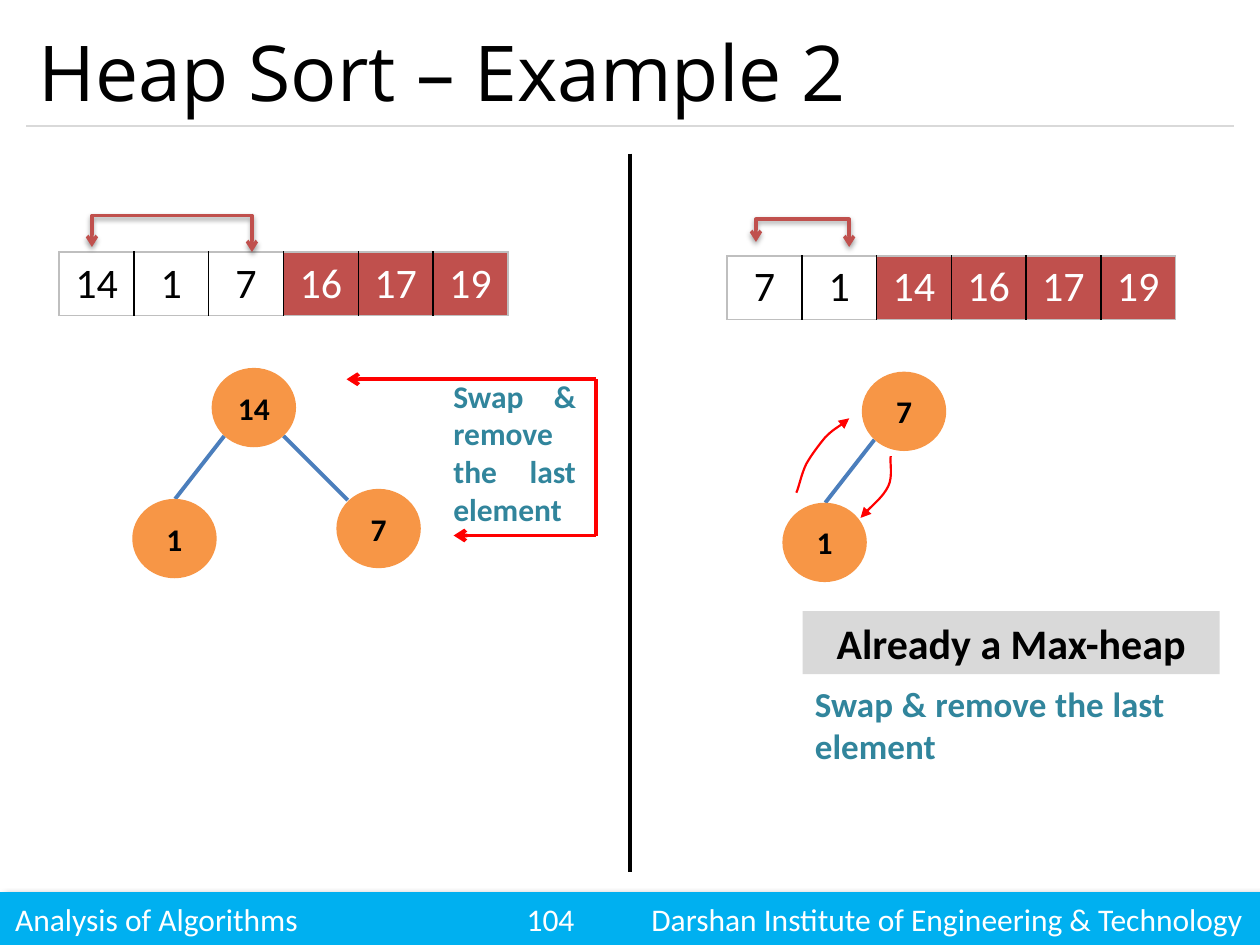
from lxml.etree import SubElement
from pptx import Presentation
from pptx.dml.color import RGBColor
from pptx.enum.shapes import MSO_CONNECTOR, MSO_SHAPE
from pptx.enum.text import MSO_ANCHOR, PP_ALIGN
from pptx.oxml.ns import qn
from pptx.util import Inches, Pt

COLUMNS, ROWS = 100, 75
BLACK, WHITE, RED = "000000", "FFFFFF", "FF0000"
BRICK, ORANGE, BLUE, TEAL = "C0504D", "F79646", "4B7EBC", "31859C"
SKY, GREY, CELL_EDGE = "00B0F0", "D9D9D9", "BFBFBF"


def color(value):
    return RGBColor.from_string(value)


def add_xml(parent, tag, **attributes):
    """Append a DrawingML child; numbers become strings."""
    return SubElement(parent, qn(f"a:{tag}"), {k: str(v) for k, v in attributes.items()})


def set_effects(shape, shadow=None):
    """Replace the theme effects; shadow is (opacity %, blur, distance, angle)."""
    effects = add_xml(shape._element.spPr, "effectLst")
    if shadow:
        opacity, blur, distance, angle = shadow
        outer = add_xml(effects, "outerShdw", blurRad=Pt(blur), dist=Pt(distance),
                        dir=angle * 60000, rotWithShape=0)
        add_xml(add_xml(outer, "srgbClr", val=BLACK), "alpha", val=opacity * 1000)


def set_line(shape, value, width, head=None, tail=None):
    shape.line.color.rgb = color(value)
    shape.line.width = Pt(width)
    for tag, kind in (("headEnd", head), ("tailEnd", tail)):
        if kind:
            add_xml(shape.line._get_or_add_ln(), tag, type=kind)


def write(frame, text, size=18, font="Calibri", ink=BLACK, bold=False,
          align=PP_ALIGN.LEFT, tabs=()):
    paragraph = frame.paragraphs[0]
    paragraph.text = text
    paragraph.alignment = align
    if tabs:
        tab_list = add_xml(paragraph._p.get_or_add_pPr(), "tabLst")
        for position in tabs:
            add_xml(tab_list, "tab", pos=position, algn="l")
    style = paragraph.runs[0].font
    style.size, style.name, style.bold = Pt(size), font, bold
    style.color.rgb = color(ink)


class HeapSlide:
    """Draws on one slide; lengths are grid columns and rows."""

    def __init__(self, presentation):
        self.slide = presentation.slides.add_slide(presentation.slide_layouts[6])
        self.shapes = self.slide.shapes
        self.column = presentation.slide_width / COLUMNS
        self.row = presentation.slide_height / ROWS

    def x(self, columns):
        return round(columns * self.column)

    def y(self, rows):
        return round(rows * self.row)

    def box(self, left, top, width, height):
        return self.x(left), self.y(top), self.x(width), self.y(height)

    def text(self, box, text, inset=1, anchor=MSO_ANCHOR.TOP, **style):
        frame = self.shapes.add_textbox(*self.box(*box)).text_frame
        frame.word_wrap = True
        frame.vertical_anchor = anchor
        frame.margin_left = frame.margin_right = self.x(inset)
        write(frame, text, **style)

    def block(self, kind, box, text, fill, inset=0, shadow=None, **style):
        shape = self.shapes.add_shape(kind, *self.box(*box))
        shape.fill.solid()
        shape.fill.fore_color.rgb = color(fill)
        shape.line.fill.background()
        set_effects(shape, shadow)
        frame = shape.text_frame
        frame.margin_left = frame.margin_right = self.x(inset)
        frame.vertical_anchor = MSO_ANCHOR.MIDDLE
        write(frame, text, **style)

    def line(self, start, end, value, width=2.25, tail=None):
        connector = self.shapes.add_connector(
            MSO_CONNECTOR.STRAIGHT, self.x(start[0]), self.y(start[1]),
            self.x(end[0]), self.y(end[1]))
        set_line(connector, value, width, tail=tail)
        set_effects(connector)

    def outline(self, points, value, width, head=None, tail=None, shadow=None, curved=False):
        """Open path; when curved, each three points after the first form a Bézier."""
        start, *others = [(self.x(x), self.y(y)) for x, y in points]
        builder = self.shapes.build_freeform(*start)
        builder.add_line_segments(others, close=False)
        shape = builder.convert_to_shape()
        if curved:
            segments = list(shape._element.iter(qn("a:lnTo")))
            route = segments[0].getparent()
            for index in range(0, len(segments), 3):
                curve = add_xml(route, "cubicBezTo")
                for segment in segments[index:index + 3]:
                    curve.append(segment[0])
                    route.remove(segment)
        shape.fill.background()
        set_line(shape, value, width, head, tail)
        set_effects(shape, shadow)

    def array(self, left, top, values, sorted_from):
        """One-row table whose cells from sorted_from on are already in place."""
        count = len(values)
        table = self.shapes.add_table(1, count, *self.box(left, top, 35.6, 5.04)).table
        table.first_row = table.horz_banding = False
        for index, value in enumerate(values):
            done = index >= sorted_from
            cell = table.cell(0, index)
            write(cell.text_frame, str(value), size=24,
                  ink=WHITE if done else BLACK, align=PP_ALIGN.CENTER)
            edges = {"lnL": index == 0, "lnR": index == count - 1, "lnT": True, "lnB": True}
            for edge, outer in edges.items():
                border = add_xml(cell._tc.get_or_add_tcPr(), edge, w=Pt(1))
                fill = add_xml(border, "solidFill")
                add_xml(fill, "srgbClr", val=CELL_EDGE if outer else BLACK)
            cell.fill.solid()
            cell.fill.fore_color.rgb = color(BRICK if done else WHITE)

    def swap_bracket(self, left, right, top, left_end, right_end):
        self.outline([(right, right_end), (right, top), (left, top), (left, left_end)],
                     BRICK, 2, head="arrow", tail="arrow", shadow=(38, 3.1, 1.6, 90))

    def swap_curve(self, points):
        self.outline(points, RED, 1.25, tail="triangle", curved=True)

    def node(self, left, top, value):
        self.block(MSO_SHAPE.OVAL, (left, top, 6.7, 6.3), str(value), ORANGE,
                   bold=True, align=PP_ALIGN.CENTER)

    def tree(self, left, top, root, left_child, right_child=None):
        self.line((left + 1, top + 5.4), (left - 2.9, top + 10.4), BLUE)
        self.node(left - 6.3, top + 10.4, left_child)
        if right_child is not None:
            self.line((left + 5.7, top + 5.4), (left + 10.8, top + 10.5), BLUE)
            self.node(left + 9.9, top + 9.6, right_child)
        self.node(left, top, root)


def main():
    presentation = Presentation()
    presentation.slide_width, presentation.slide_height = Inches(10), Inches(7.5)
    page = HeapSlide(presentation)

    page.block(MSO_SHAPE.RECTANGLE, (0, 70.8, 100, 4.2),
               "Analysis of Algorithms\t104\tDarshan Institute of Engineering & Technology",
               SKY, inset=1.2, shadow=(40, 4, 3, 45), ink=WHITE,
               tabs=(page.x(40.6), page.x(50.5)))
    page.line((2.1, 10), (97.9, 10), GREY, 0.75)
    page.text((2.1, 1.2, 95.8, 8.8), "Heap Sort – Example 2", size=44,
              font="Open Sans", anchor=MSO_ANCHOR.MIDDLE)
    page.line((50, 12.2), (50, 69.2), BLACK)

    page.array(4.7, 20, [14, 1, 7, 16, 17, 19], sorted_from=3)
    page.swap_bracket(7.3, 20, 17.1, 19.6, 20)
    page.tree(16.8, 29.2, 14, 1, 7)
    page.line((47.3, 30.1), (27.5, 30.1), RED, tail="arrow")
    page.line((47.3, 30.1), (47.3, 42.5), RED)
    page.line((47.3, 42.5), (36, 42.5), RED, tail="arrow")
    page.text((35, 29.4, 11.7, 13.1), "Swap & remove the last element",
              ink=TEAL, bold=True, align=PP_ALIGN.JUSTIFY)

    page.array(57.7, 20.3, [7, 1, 14, 16, 17, 19], sorted_from=2)
    page.swap_bracket(60, 67.4, 17.4, 19.2, 19.6)
    page.tree(68.4, 29.5, 7, 1)
    page.swap_curve([(63.2, 39.1), (63.4, 38.7), (63.6, 37.6), (64, 36.8),
                     (64.4, 36.1), (65, 35.3), (65.5, 34.7),
                     (66.1, 34.1), (67, 33.6), (67.4, 33.2)])
    page.swap_curve([(70.7, 36.2), (70.6, 36.6), (70.9, 37.8), (70.5, 38.6),
                     (70.1, 39.4), (68.7, 40.6), (68.3, 41.1)])
    page.block(MSO_SHAPE.RECTANGLE, (63.7, 48.5, 33.1, 5), "Already a Max-heap", GREY,
               size=24, bold=True, align=PP_ALIGN.CENTER)
    page.text((63.7, 53.7, 29.7, 7.7), "Swap & remove the last element",
              size=20, ink=TEAL, bold=True, align=PP_ALIGN.JUSTIFY)
    presentation.save("out.pptx")


if __name__ == "__main__":
    main()
